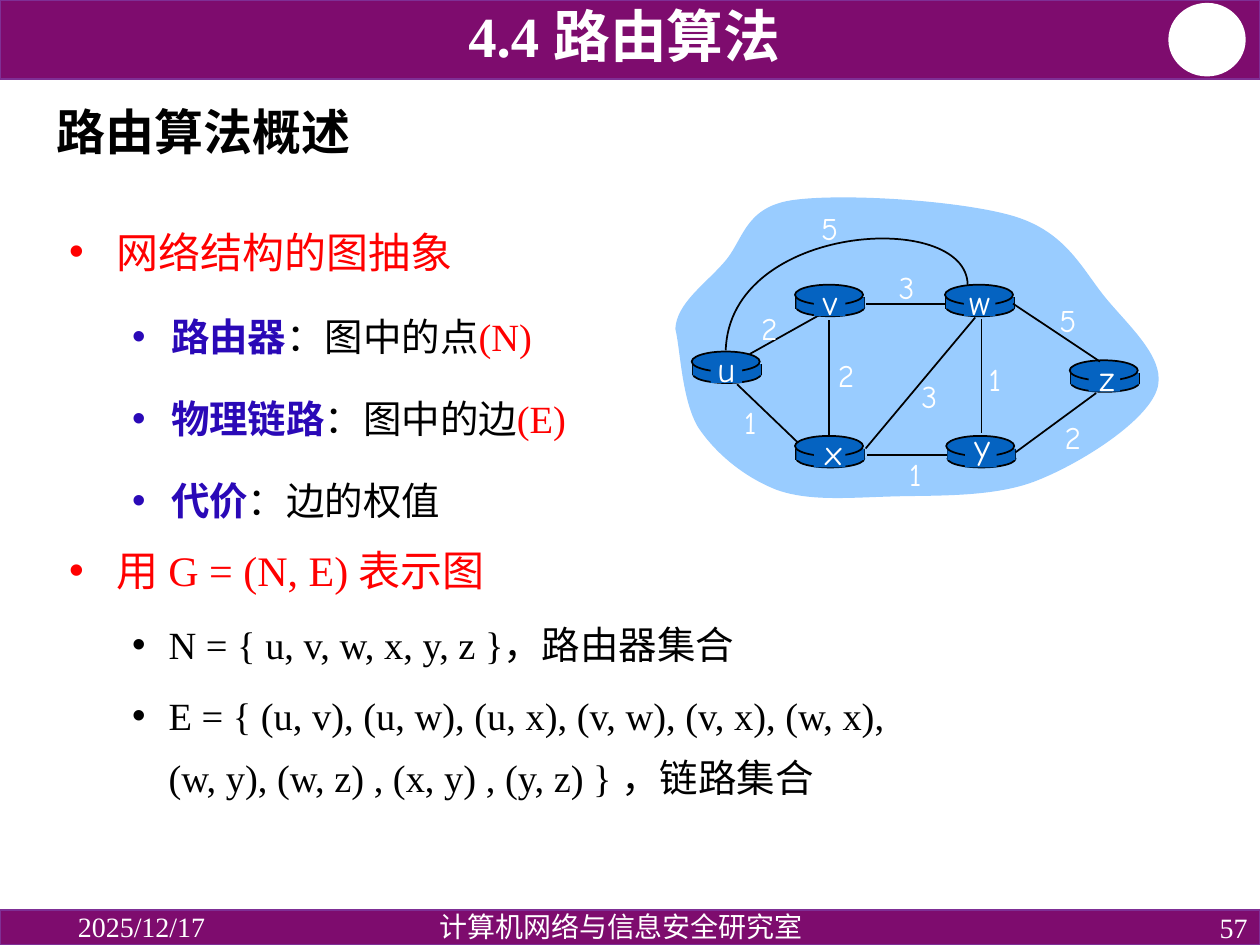
from lxml import etree
from pptx import Presentation
from pptx import util as u
from pptx.dml.color import RGBColor
from pptx.enum import lang, shapes, text
from pptx.oxml import ns

COLORS = {"band": "7E0C6E", "band_edge": "7F2F95", "white": "FFFFFF", "black": "000000",
          "red": "FF0000", "term": "2A09B7", "cloud": "99CCFF", "router": "0563C1"}
SERIF, SANS, COMIC = "Times New Roman", "Noto Sans CJK SC", "Comic Neue"
SHAPE, ALIGN, ANCHOR = shapes.MSO_SHAPE, text.PP_ALIGN, text.MSO_ANCHOR


class SlideBuilder:
    def __init__(self, slide):
        self.items = slide.shapes

    def color(self, name):
        return RGBColor.from_string(COLORS[name])

    def paint(self, item, fill=None, line=None):
        item.shadow.inherit = False
        if fill:
            item.fill.solid()
            item.fill.fore_color.rgb = self.color(fill)
        else:
            item.fill.background()
        if line:
            item.line.color.rgb = self.color(line)
            item.line.width = u.Pt(1)
        else:
            item.line.fill.background()

    def shape(self, kind, left, top, width, height, fill, line=None):
        item = self.items.add_shape(kind, *map(u.Inches, (left, top, width, height)))
        self.paint(item, fill, line)

    def curve(self, start, controls, closed, fill=None, line=None):
        """Draw a chain of Bezier curves; every three control points make one curve."""
        builder = self.items.build_freeform(*map(u.Inches, start))
        builder.add_line_segments([tuple(map(u.Inches, point)) for point in controls], close=closed)
        item = builder.convert_to_shape()
        segments = list(item._element.iter(ns.qn("a:lnTo")))
        for first in range(0, len(controls), 3):
            bezier = etree.Element(ns.qn("a:cubicBezTo"))
            segments[first].addprevious(bezier)
            for segment in segments[first:first + 3]:
                bezier.append(segment[0])
                segment.getparent().remove(segment)
        self.paint(item, fill, line)

    def line(self, x1, y1, x2, y2):
        link = self.items.add_connector(shapes.MSO_CONNECTOR.STRAIGHT,
                                        *map(u.Inches, (x1, y1, x2, y2)))
        link.line.color.rgb = self.color("black")
        link.line.width = u.Pt(1)
        etree.SubElement(link._element.spPr, ns.qn("a:effectLst"))

    def style(self, run, size, font, color, bold=False):
        run.font.size, run.font.name, run.font.bold = u.Pt(size), font, bold
        run.font.color.rgb = self.color(color)
        run.font.language_id = lang.MSO_LANGUAGE_ID.SIMPLIFIED_CHINESE

    def frame(self, left, top, width, height, anchor=ANCHOR.TOP, wrap=True):
        frame = self.items.add_textbox(*map(u.Inches, (left, top, width, height))).text_frame
        frame.word_wrap, frame.vertical_anchor = wrap, anchor
        return frame

    def label(self, words, box, size, font=SERIF, color="white", bold=False,
              align=ALIGN.LEFT, anchor=ANCHOR.MIDDLE, spacing=1.0, wrap=True):
        paragraph = self.frame(*box, anchor, wrap).paragraphs[0]
        paragraph.text = words
        paragraph.alignment, paragraph.line_spacing = align, spacing
        self.style(paragraph.runs[0], size, font, color, bold)

    def graph_label(self, words, left, top, height, size):
        width = LABEL_WIDTHS.get(words, 0.35)
        self.label(words, (left, top, width, height), size, COMIC,
                   align=ALIGN.CENTER, anchor=ANCHOR.TOP, wrap=False)

    def bullet(self, paragraph, level, margin, hang, before, size, runs):
        paragraph.level = level
        props = paragraph._p.get_or_add_pPr()
        props.set("marL", str(u.Inches(margin)))
        props.set("indent", str(-u.Inches(hang)))
        paragraph.line_spacing, paragraph.space_before = u.Pt(35), u.Pt(before)
        etree.SubElement(props, ns.qn("a:buFont")).set("typeface", "Arial")
        etree.SubElement(props, ns.qn("a:buChar")).set("char", "•")
        for words, font, color, bold in runs:
            run = paragraph.add_run()
            run.text = words
            self.style(run, size, font, color, bold)

    def router_body(self, left, top):
        """Draw the two discs and the side wall; left and top are those of the upper disc."""
        wall = left + 0.01
        self.shape(SHAPE.OVAL, wall, top + 0.11, 0.54, 0.14, "router", "black")
        for x in (wall, wall + 0.54):
            self.line(x, top + 0.1, x, top + 0.19)
        self.shape(SHAPE.RECTANGLE, wall, top + 0.1, 0.54, 0.09, "router")
        self.shape(SHAPE.OVAL, left, top, 0.54, 0.16, "router", "black")


CLOUD_START = (5.36, 2.61)
CLOUD = [(5.37, 2.41), (5.59, 2.26), (5.74, 2.09), (5.9, 1.92), (5.9, 1.65), (6.28, 1.59),
         (6.67, 1.53), (7.64, 1.59), (8.06, 1.72), (8.47, 1.85), (8.59, 2.14), (8.78, 2.37),
         (8.97, 2.6), (9.27, 2.86), (9.18, 3.1), (9.09, 3.35), (8.59, 3.67), (8.24, 3.81),
         (7.9, 3.95), (7.43, 3.93), (7.09, 3.94), (6.74, 3.95), (6.43, 3.98), (6.17, 3.89),
         (5.91, 3.79), (5.68, 3.6), (5.54, 3.39), (5.41, 3.17), (5.4, 2.77), CLOUD_START]
# Left and top of the upper disc, then of the letter
ROUTERS = {"u": (5.49, 2.79, 5.59, 2.71), "x": (6.31, 3.46, 6.43, 3.37),
           "v": (6.31, 2.26, 6.42, 2.18), "w": (7.5, 2.26, 7.58, 2.18),
           "y": (7.51, 3.46, 7.62, 3.32), "z": (8.49, 2.86, 8.61, 2.78)}
LABEL_WIDTHS = {"1": 0.31, "v": 0.34, "x": 0.37, "w": 0.39}
EDGE_UV = (5.95, 2.81, 6.54, 2.48)
EDGE_UW_START, EDGE_UW = (7.68, 2.26), [(7.67, 1.66), (5.79, 1.77), (5.76, 2.78)]
EDGES = [(7.79, 2.53, 7.79, 3.44), (6.58, 2.54, 6.58, 3.47), (6.87, 3.56, 7.74, 2.52),
         (8.06, 3.59, 8.7, 3.12), (7.52, 3.61, 6.88, 3.61), (6.33, 3.51, 5.85, 3.05),
         (7.51, 2.41, 6.87, 2.41), (8.73, 2.87, 8.04, 2.41)]
COSTS = [("2", 5.93, 2.4), ("2", 6.54, 2.78), ("1", 5.8, 3.15), ("3", 7.2, 2.94),
         ("1", 7.11, 3.56), ("1", 7.74, 2.81), ("2", 8.34, 3.27), ("5", 8.3, 2.34),
         ("3", 7.02, 2.08), ("5", 6.41, 1.61)]

HEADING, TERM, FORMULA = (0, 0.38, 0.38), (1, 0.81, 0.31), (1, 0.79, 0.29)


def definition(term, meaning, symbol=None):
    runs = [(term, SANS, "term", True), (meaning, SERIF, "black", False)]
    return runs + ([(symbol, SERIF, "red", False)] if symbol else [])


OUTLINE = [
    (HEADING, 0, 24, [("网络结构的图抽象", SANS, "red", False)]),
    (TERM, 12, 22, definition("路由器", "：图中的点", "(N)")),
    (TERM, 12, 22, definition("物理链路", "：图中的边", "(E)")),
    (TERM, 12, 22, definition("代价", "：边的权值")),
    (HEADING, 6, 24, [("用 G = (N, E) 表示图", SERIF, "red", False)]),
    (FORMULA, 6, 22, [("N = { u, v, w, x, y, z }，路由器集合", SERIF, "black", False)]),
    (FORMULA, 6, 22, [("E = { (u, v), (u, w), (u, x), (v, w), (v, x), (w, x), (w, y), "
                       "(w, z) , (x, y) , (y, z) } ，链路集合", SERIF, "black", False)]),
]


def draw_bands(page):
    page.shape(SHAPE.RECTANGLE, 0, 0, 10, 0.63, "band", "band_edge")
    page.shape(SHAPE.OVAL, 9.28, 0.03, 0.6, 0.57, "white", "white")
    page.shape(SHAPE.RECTANGLE, 0, 7.22, 10, 0.28, "band", "band_edge")
    page.label("2025/12/17", (0.52, 7.22, 2.25, 0.26), 16)
    page.label("57", (7.75, 7.22, 2.25, 0.28), 16, align=ALIGN.RIGHT)
    page.label("计算机网络与信息安全研究室", (2.69, 7.2, 4.48, 0.28), 16,
               align=ALIGN.CENTER, anchor=ANCHOR.TOP, spacing=0.9)


def draw_outline(page):
    page.label("路由算法概述", (0.35, 0.67, 9.29, 0.8), 28, color="black", bold=True, spacing=0.9)
    frame = page.frame(0.45, 1.66, 6.87, 4.92)
    for index, (indent, before, size, runs) in enumerate(OUTLINE):
        paragraph = frame.add_paragraph() if index else frame.paragraphs[0]
        page.bullet(paragraph, *indent, before, size, runs)


def draw_network(page):
    page.curve(CLOUD_START, CLOUD, True, fill="cloud")
    page.line(*EDGE_UV)
    for left, top, _, _ in ROUTERS.values():
        page.router_body(left, top)
    for edge in EDGES:
        page.line(*edge)
    page.curve(EDGE_UW_START, EDGE_UW, False, line="black")
    for name, (left, top, letter_left, letter_top) in ROUTERS.items():
        page.shape(SHAPE.RECTANGLE, left + 0.15, top + 0.02, 0.25, 0.23, "router")
        page.graph_label(name, letter_left, letter_top, 0.44, 20)
    for cost, left, top in COSTS:
        page.graph_label(cost, left, top, 0.4, 18)


def main():
    deck = Presentation()
    deck.slide_width, deck.slide_height = u.Inches(10), u.Inches(7.5)
    page = SlideBuilder(deck.slides.add_slide(deck.slide_layouts[6]))
    draw_bands(page)
    draw_outline(page)
    draw_network(page)
    page.label("4.4 路由算法", (1.09, 0.03, 7.73, 0.56), 32.4, bold=True,
               align=ALIGN.CENTER, anchor=ANCHOR.BOTTOM, spacing=0.8)
    deck.save("out.pptx")


if __name__ == "__main__":
    main()
